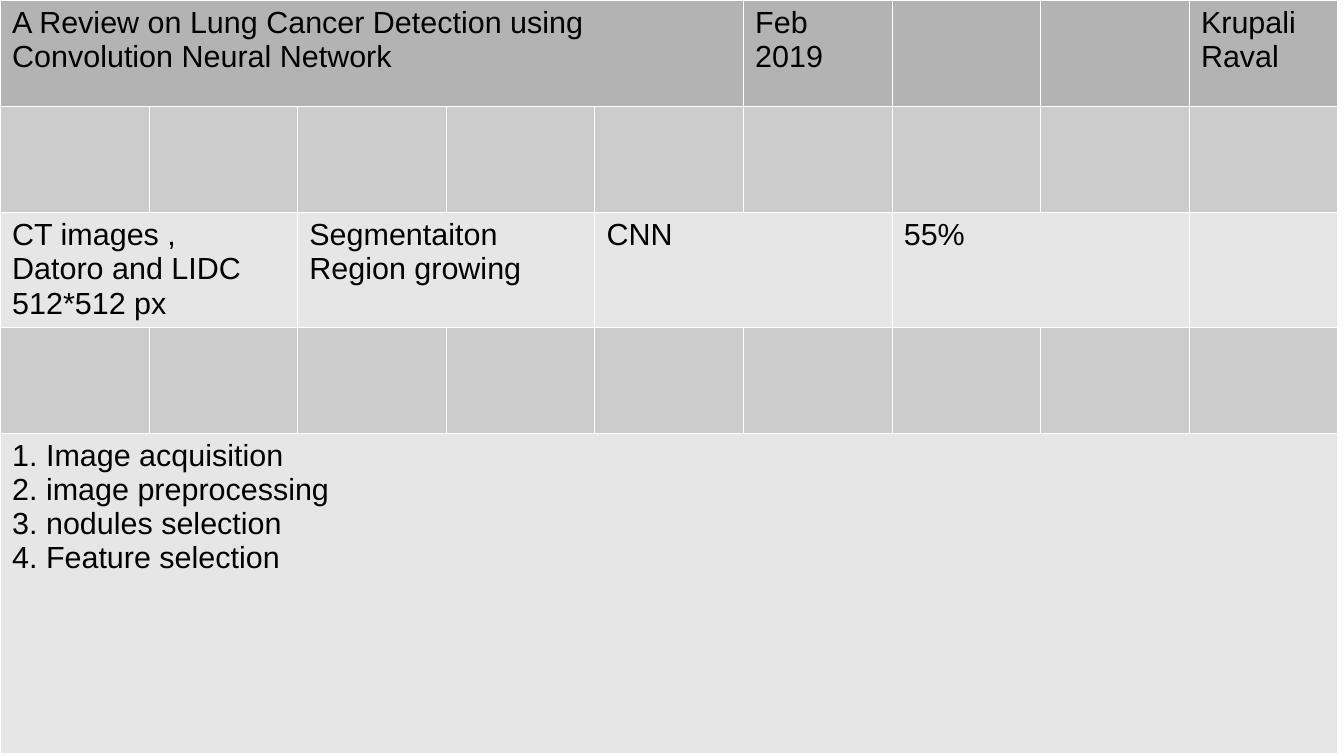
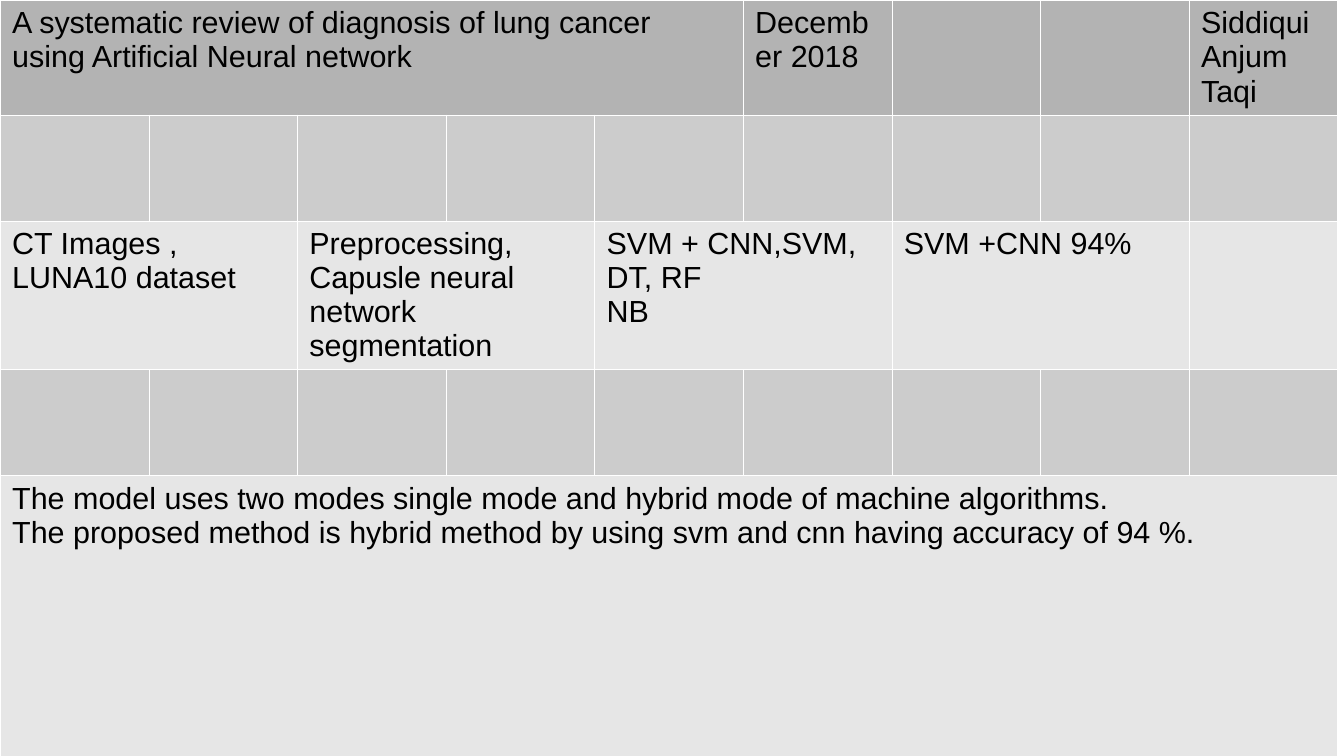
from dataclasses import dataclass

from lxml import etree
from pptx import Presentation
from pptx.dml.color import RGBColor
from pptx.oxml.ns import qn
from pptx.util import Inches, Pt

BLANK_LAYOUT = 6
BORDER_TAGS = ("a:lnL", "a:lnR", "a:lnT", "a:lnB")


@dataclass(frozen=True)
class Theme:
    header: str = "B3B3B3"
    spacer: str = "CCCCCC"
    body: str = "E6E6E6"
    border: str = "FFFFFF"
    text: str = "000000"
    font: str = "Arial"
    text_size: float = 18
    border_width: float = 0.06


THEME = Theme()

# Table grid shared by all slides
SLIDE_SIZE = (11.02, 6.2)
TABLE_SIZE = (10.97, 6.11)
COLUMN_COUNT = 9
ROW_HEIGHT = 0.87
ROW_FILLS = (THEME.header, THEME.spacer, THEME.body, THEME.spacer, THEME.body)
CELL_FORMAT = {
    "margin_left": Inches(0.1),
    "margin_right": Inches(0.1),
    "margin_top": Inches(0.05),
    "margin_bottom": Inches(0.05),
}

# Position and column span of each field of a paper
FIELDS = {
    "title": (0, 0, 5),
    "date": (0, 5, 1),
    "author": (0, 8, 1),
    "dataset": (2, 0, 2),
    "segmentation": (2, 2, 2),
    "classifier": (2, 4, 2),
    "accuracy": (2, 6, 2),
    "summary": (4, 0, 9),
}

PAPERS = (
    {
        "title": ("A Review on Lung Cancer Detection using",
                  "Convolution Neural Network"),
        "date": ("Feb 2019",),
        "author": ("Krupali Raval",),
        "dataset": ("CT images ,", "Datoro and LIDC", "512*512 px"),
        "segmentation": ("Segmentaiton", "Region growing"),
        "classifier": ("CNN",),
        "accuracy": ("55%",),
        "summary": ("1. Image acquisition", "2. image preprocessing",
                    "3. nodules selection", "4. Feature selection"),
    },
    {
        "title": ("A systematic review of diagnosis of lung cancer",
                  "using Artificial Neural network"),
        "date": ("December 2018",),
        "author": ("Siddiqui Anjum Taqi",),
        "dataset": ("CT Images ,", "LUNA10 dataset"),
        "segmentation": ("Preprocessing,",
                         "Capusle neural network segmentation"),
        "classifier": ("SVM + CNN,SVM, DT, RF", "NB"),
        "accuracy": ("SVM +CNN 94%",),
        "summary": (
            "The model uses two modes single mode and hybrid mode of machine algorithms.",
            "The proposed method is hybrid method by using svm and cnn having accuracy of 94 %.",
        ),
    },
)


def set_format(target, values):
    for name, value in values.items():
        setattr(target, name, value)


def add_borders(cell):
    """Draw the four cell borders; they come before the fill in the XML."""
    properties = cell._tc.get_or_add_tcPr()
    for index, tag in enumerate(BORDER_TAGS):
        line = etree.Element(qn(tag), w=str(Pt(THEME.border_width)))
        fill = etree.SubElement(line, qn("a:solidFill"))
        etree.SubElement(fill, qn("a:srgbClr"), val=THEME.border)
        properties.insert(index, line)


def style_cell(cell, color):
    set_format(cell, CELL_FORMAT)
    cell.fill.solid()
    cell.fill.fore_color.rgb = RGBColor.from_string(color)
    add_borders(cell)


def write_cell(cell, lines):
    cell.text = "\n".join(lines)
    for paragraph in cell.text_frame.paragraphs:
        for run in paragraph.runs:
            set_format(run.font, {"name": THEME.font, "size": Pt(THEME.text_size)})
            run.font.color.rgb = RGBColor.from_string(THEME.text)


def add_grid(slide):
    """Add the empty table, its last row taking the remaining height."""
    width, height = TABLE_SIZE
    row_count = len(ROW_FILLS)
    table = slide.shapes.add_table(
        row_count, COLUMN_COUNT, 0, 0, Inches(width), Inches(height)).table
    set_format(table, {"first_row": False, "horz_banding": False})
    for column in table.columns:
        column.width = Inches(width / COLUMN_COUNT)
    for row, color in zip(table.rows, ROW_FILLS):
        row.height = Inches(ROW_HEIGHT)
        for cell in row.cells:
            style_cell(cell, color)
    table.rows[row_count - 1].height = Inches(height - ROW_HEIGHT * (row_count - 1))
    return table


def add_paper_slide(presentation, paper):
    slide = presentation.slides.add_slide(presentation.slide_layouts[BLANK_LAYOUT])
    table = add_grid(slide)
    for field, (row, column, span) in FIELDS.items():
        cell = table.cell(row, column)
        if span > 1:
            cell.merge(table.cell(row, column + span - 1))
        write_cell(cell, paper[field])


def main():
    presentation = Presentation()
    width, height = SLIDE_SIZE
    set_format(presentation, {"slide_width": Inches(width),
                              "slide_height": Inches(height)})
    for paper in PAPERS:
        add_paper_slide(presentation, paper)
    presentation.save("out.pptx")


if __name__ == "__main__":
    main()
